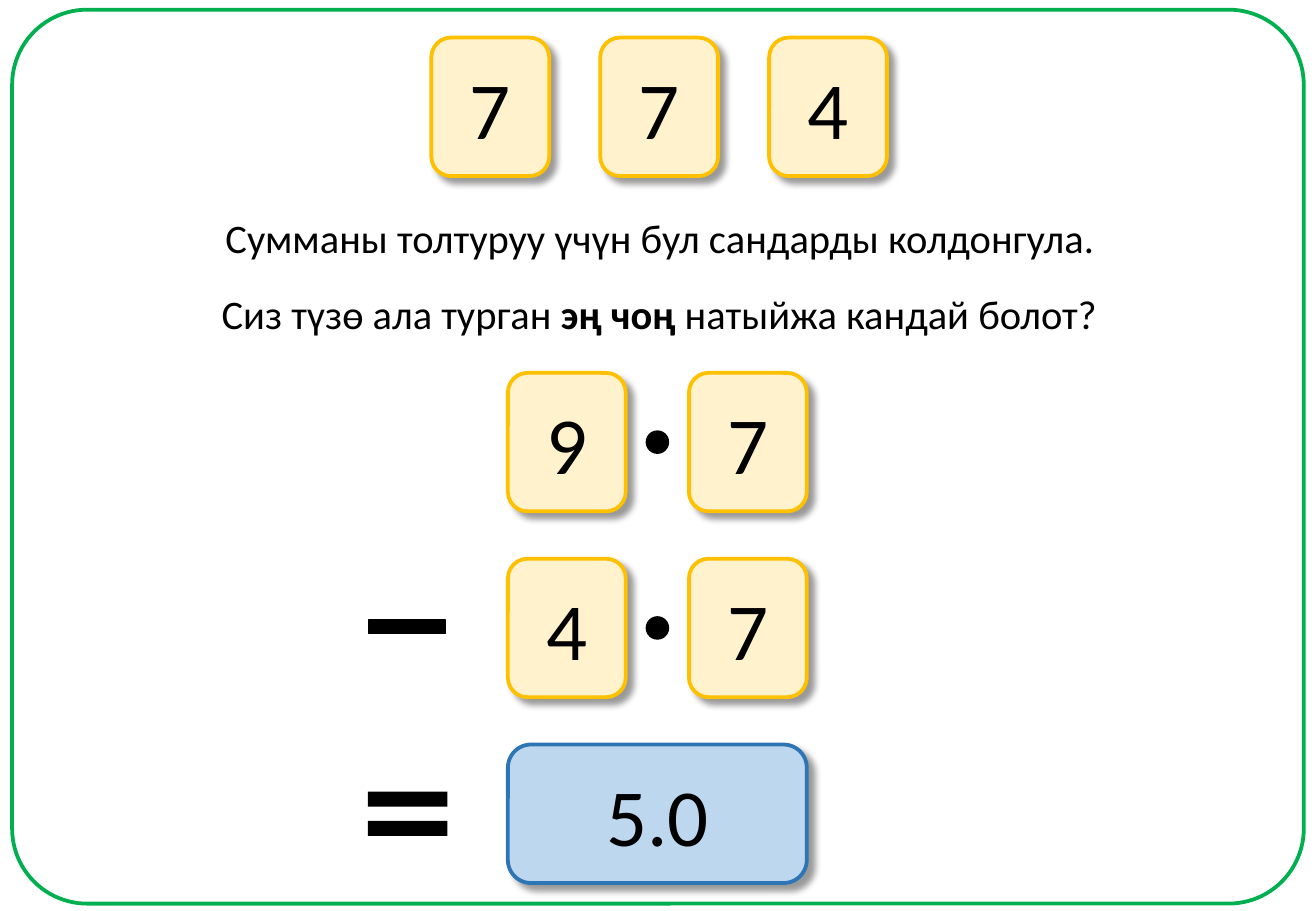
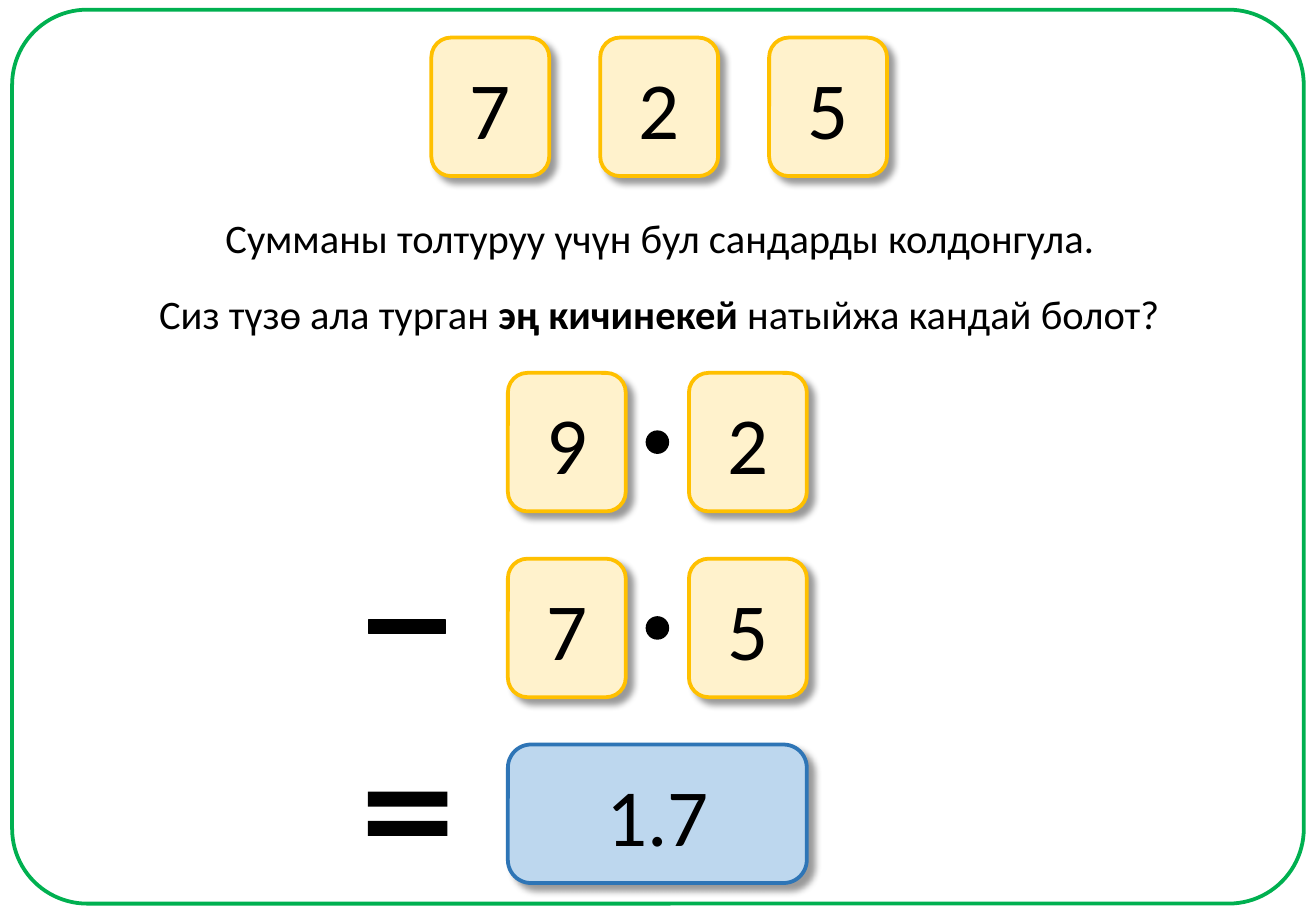
from lxml import etree
from pptx import Presentation
from pptx.dml.color import RGBColor
from pptx.enum.shapes import MSO_SHAPE
from pptx.enum.text import MSO_ANCHOR, MSO_AUTO_SIZE, PP_ALIGN
from pptx.oxml.ns import qn
from pptx.util import Inches, Pt

BLACK = RGBColor(0x00, 0x00, 0x00)
GREEN = RGBColor(0x00, 0xB0, 0x50)
CREAM = RGBColor(0xFF, 0xF2, 0xCC)
AMBER = RGBColor(0xFF, 0xC0, 0x00)
PALE_BLUE = RGBColor(0xBD, 0xD7, 0xEE)
BLUE = RGBColor(0x2E, 0x75, 0xB6)

FONT = "Calibri"
PAGE_WIDTH, PAGE_HEIGHT = 10.83, 7.5
CARD_WIDTH, CARD_HEIGHT = 0.97, 1.14
CHOICE_LEFT, CHOICE_TOP, CHOICE_STEP = 3.55, 0.31, 1.39
SUM_LEFT, SUM_TOP, SUM_STEP = 4.18, 3.07, 1.53
FACTOR_STEP = 1.49
RESULT_WIDTH = FACTOR_STEP + CARD_WIDTH
DOT_SIZE = 0.18
TEXT_HEIGHT = 0.5

INSTRUCTION = "Cумманы толтуруу үчүн бул сандарды колдонгула."
# Numbers to choose from, stressed words, factors of each row, result
PUZZLES = [
    ("774", "эң чоң ", ("97", "47"), "5.0"),
    ("725", "эң кичинекей ", ("92", "75"), "1.7"),
]


def add_figure(page, kind, left, top, width, height, fill=None, line=None,
               weight=1.0, adjustments=()):
    figure = page.shapes.add_shape(
        kind, Inches(left), Inches(top), Inches(width), Inches(height))
    figure.shadow.inherit = False
    for index, value in enumerate(adjustments):
        figure.adjustments[index] = value
    if fill is None:
        figure.fill.background()
    else:
        figure.fill.solid()
        figure.fill.fore_color.rgb = fill
    if line is None:
        figure.line.fill.background()
    else:
        figure.line.color.rgb = line
        figure.line.width = Pt(weight)
    return figure


def cast_shadow(figure):
    """Give the figure a soft shadow to its lower right."""
    effects = figure._element.spPr.find(qn("a:effectLst"))
    shadow = etree.SubElement(
        effects, qn("a:outerShdw"), blurRad=str(Pt(4)), dist=str(Pt(5)),
        dir=str(45 * 60000), algn="tl", rotWithShape="0")
    color = etree.SubElement(shadow, qn("a:srgbClr"), val=str(BLACK))
    etree.SubElement(color, qn("a:alpha"), val="40000")


def style_text(frame, size):
    frame.vertical_anchor = MSO_ANCHOR.MIDDLE
    para = frame.paragraphs[0]
    para.alignment = PP_ALIGN.CENTER
    for span in para.runs:
        span.font.name = FONT
        span.font.size = Pt(size)
        span.font.color.rgb = BLACK


def add_card(page, label, left, top, width=CARD_WIDTH, fill=CREAM, line=AMBER):
    card = add_figure(page, MSO_SHAPE.ROUNDED_RECTANGLE, left, top, width,
                      CARD_HEIGHT, fill, line, 2.25)
    cast_shadow(card)
    frame = card.text_frame
    frame.margin_left = frame.margin_right = Inches(0.11)
    frame.text = label
    style_text(frame, 48)


def place_line(box, left, top, width):
    """Move a text shape and format it as one centred line."""
    box.left, box.top = Inches(left), Inches(top)
    box.width, box.height = Inches(width), Inches(TEXT_HEIGHT)
    box.text_frame.word_wrap = False
    box.text_frame.auto_size = MSO_AUTO_SIZE.NONE
    style_text(box.text_frame, 24)


def add_question(page, stressed):
    width = 8.46
    box = page.shapes.add_textbox(0, 0, Inches(width), Inches(TEXT_HEIGHT))
    para = box.text_frame.paragraphs[0]
    for words in ("Сиз түзө ала турган ", stressed, "натыйжа кандай болот?"):
        span = para.add_run()
        span.text = words
        span.font.bold = words == stressed
    place_line(box, (PAGE_WIDTH - width) / 2 + 0.01, 2.33, width)


def add_product(page, factors, top):
    for index, factor in enumerate(factors):
        add_card(page, factor, SUM_LEFT + index * FACTOR_STEP, top)
    add_figure(page, MSO_SHAPE.OVAL, SUM_LEFT + (RESULT_WIDTH - DOT_SIZE) / 2,
               top + (CARD_HEIGHT - DOT_SIZE) / 2, DOT_SIZE, DOT_SIZE,
               BLACK, BLACK)


def add_puzzle(deck, choices, stressed, rows, result):
    page = deck.slides.add_slide(deck.slide_layouts.get_by_name("Title Only"))
    add_figure(page, MSO_SHAPE.ROUNDED_RECTANGLE, 0.1, 0.08, 10.63, 7.36,
               line=GREEN, weight=2.25, adjustments=[0.084])
    title = page.shapes.title
    title.text_frame.text = INSTRUCTION
    place_line(title, 1.72, 1.7, 7.42)
    add_question(page, stressed)

    for index, number in enumerate(choices):
        add_card(page, number, CHOICE_LEFT + index * CHOICE_STEP, CHOICE_TOP)
    for index, factors in enumerate(rows):
        add_product(page, factors, SUM_TOP + index * SUM_STEP)
    add_card(page, result, SUM_LEFT, SUM_TOP + len(rows) * SUM_STEP,
             RESULT_WIDTH, PALE_BLUE, BLUE)
    add_figure(page, MSO_SHAPE.MATH_MINUS, 2.92, 4.73, 0.86, 0.86,
               BLACK, BLACK, adjustments=[0.132])
    add_figure(page, MSO_SHAPE.MATH_EQUAL, 2.91, 6.2, 0.89, 1,
               BLACK, adjustments=[0.123, 0.118])


def main():
    deck = Presentation()
    deck.slide_width = Inches(PAGE_WIDTH)
    deck.slide_height = Inches(PAGE_HEIGHT)
    for puzzle in PUZZLES:
        add_puzzle(deck, *puzzle)
    deck.save("out.pptx")


if __name__ == "__main__":
    main()
